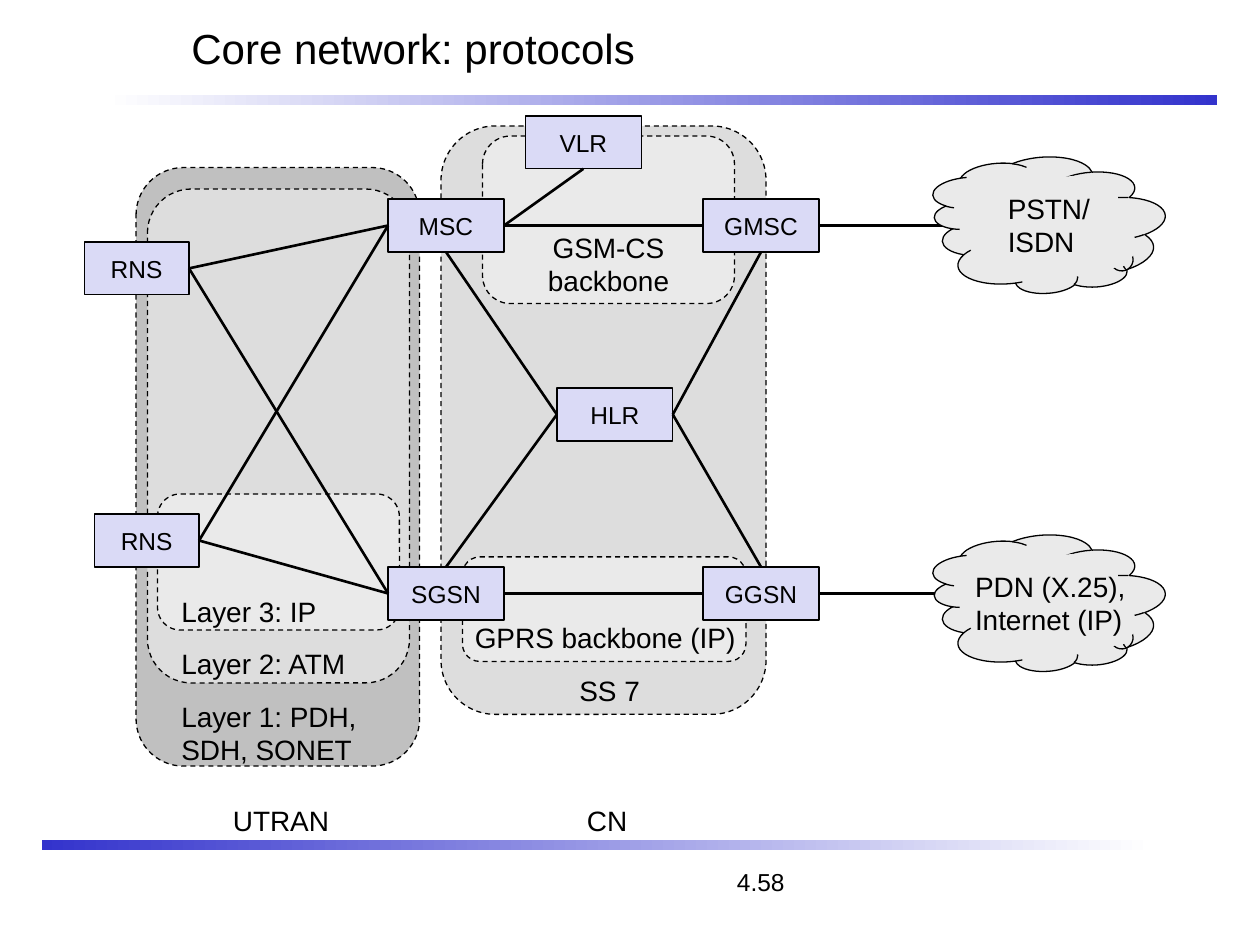
from dataclasses import dataclass

from lxml import etree
from pptx import Presentation
from pptx.dml.color import RGBColor
from pptx.enum.dml import MSO_LINE
from pptx.enum.shapes import MSO_CONNECTOR, MSO_SHAPE
from pptx.enum.text import MSO_ANCHOR, MSO_AUTO_SIZE, PP_ALIGN
from pptx.oxml.ns import qn
from pptx.util import Inches, Pt

BLACK = RGBColor(0x00, 0x00, 0x00)
WHITE = RGBColor(0xFF, 0xFF, 0xFF)
BLUE = RGBColor(0x33, 0x33, 0xCC)
LILAC = RGBColor(0xDA, 0xDA, 0xF6)
DARK = RGBColor(0xC0, 0xC0, 0xC0)
MID = RGBColor(0xDD, 0xDD, 0xDD)
PALE = RGBColor(0xEA, 0xEA, 0xEA)

RECT = MSO_SHAPE.RECTANGLE
ROUND = MSO_SHAPE.ROUNDED_RECTANGLE
OVAL = MSO_SHAPE.OVAL
CLOUD = MSO_SHAPE.CLOUD_CALLOUT
DASH = MSO_LINE.DASH
LINE = MSO_CONNECTOR.STRAIGHT
LEFT, CENTER = PP_ALIGN.LEFT, PP_ALIGN.CENTER
TOP, MIDDLE = MSO_ANCHOR.TOP, MSO_ANCHOR.MIDDLE
GROW = MSO_AUTO_SIZE.SHAPE_TO_FIT_TEXT
NORTH, WEST, SOUTH, EAST = range(4)


@dataclass
class Box:
    left: float
    top: float
    width: float
    height: float


@dataclass
class Panel:
    box: Box
    fill: RGBColor


@dataclass
class Node:
    key: str
    text: str
    left: float
    top: float
    width: float = 0.92


@dataclass
class Link:
    start: str
    out: int
    end: str
    into: int


@dataclass
class Label:
    text: str
    box: Box
    align: PP_ALIGN = LEFT
    wrap: bool = False


@dataclass
class Net:
    top: float
    tip: float
    source: str
    label: Label


PANELS = [
    Panel(Box(3.5, 1, 2.58, 4.67), MID),
    Panel(Box(1.08, 1.33, 2.25, 4.75), DARK),
    Panel(Box(1.17, 1.5, 2.08, 3.92), MID),
    Panel(Box(3.83, 1.08, 2, 1.33), PALE),
    Panel(Box(1.25, 3.92, 1.92, 1.08), PALE),
    Panel(Box(3.67, 4.42, 2.25, 0.83), PALE),
]
NODES = [
    Node("msc", "MSC", 3.08, 1.58),
    Node("low", "RNS", 0.75, 4.08, 0.83),
    Node("sgsn", "SGSN", 3.08, 4.5),
    Node("ggsn", "GGSN", 5.58, 4.5),
    Node("gmsc", "GMSC", 5.58, 1.58),
    Node("hlr", "HLR", 4.42, 3.08),
    Node("vlr", "VLR", 4.17, 0.92),
    Node("high", "RNS", 0.67, 1.92, 0.83),
]
LINKS = [
    Link("low", EAST, "sgsn", WEST),
    Link("low", EAST, "msc", WEST),
    Link("sgsn", EAST, "ggsn", WEST),
    Link("sgsn", NORTH, "hlr", WEST),
    Link("msc", SOUTH, "hlr", WEST),
    Link("ggsn", NORTH, "hlr", EAST),
    Link("gmsc", SOUTH, "hlr", EAST),
    Link("msc", EAST, "gmsc", WEST),
    Link("msc", EAST, "vlr", SOUTH),
    Link("msc", WEST, "high", EAST),
    Link("sgsn", WEST, "high", EAST),
]
LABELS = [
    Label("Layer 1: PDH,\vSDH, SONET", Box(1.34, 5.5, 1.65, 0.64)),
    Label("Layer 2: ATM", Box(1.34, 5.08, 1.58, 0.37)),
    Label("Layer 3: IP", Box(1.34, 4.67, 1.32, 0.37)),
    Label("GPRS backbone (IP)", Box(3.67, 4.88, 2.32, 0.37)),
    Label("SS 7", Box(4.5, 5.3, 0.73, 0.37)),
    Label("GSM-CS\nbackbone", Box(3.83, 1.78, 2, 0.64), CENTER, True),
    Label("UTRAN", Box(1.75, 6.33, 1.02, 0.37)),
    Label("CN", Box(4.56, 6.33, 0.57, 0.37)),
]
NETS = [
    Net(0.87, 7.58, "gmsc", Label("PSTN/\nISDN", Box(7.9, 1.47, 0.9, 0.64))),
    Net(3.87, 7.5, "ggsn", Label("PDN (X.25),\nInternet (IP)", Box(7.64, 4.47, 1.46, 0.64))),
]


def place(box: Box) -> list:
    return [Inches(n) for n in (box.left, box.top, box.width, box.height)]


def style(frame, size: int, align: PP_ALIGN = LEFT, anchor: MSO_ANCHOR = TOP) -> None:
    frame.vertical_anchor = anchor
    for par in frame.paragraphs:
        par.alignment = align
        par.font.name = "Arial"
        par.font.size = Pt(size)
        par.font.color.rgb = BLACK


def draw(shapes, kind: MSO_SHAPE, box: Box, fill: RGBColor, edge: RGBColor = BLACK, turn: float = 0):
    shape = shapes.add_shape(kind, *place(box))
    shape.shadow.inherit = False
    shape.fill.solid()
    shape.fill.fore_color.rgb = fill
    shape.line.color.rgb = edge
    shape.line.width = Pt(0.75)
    shape.rotation = turn
    return shape


def add_bar(shapes, box: Box, first: RGBColor, last: RGBColor) -> None:
    bar = shapes.add_shape(RECT, *place(box))
    bar.shadow.inherit = False
    bar.line.fill.background()
    bar.fill.gradient()
    bar.fill.gradient_angle = 0
    for stop, color in zip(bar.fill.gradient_stops, (first, last)):
        stop.color.rgb = color


def add_label(shapes, label: Label, size: int = 16) -> None:
    frame = shapes.add_textbox(*place(label.box)).text_frame
    frame.text = label.text
    frame.word_wrap = label.wrap
    frame.auto_size = GROW
    style(frame, size, label.align)


def add_panel(shapes, panel: Panel) -> None:
    shape = draw(shapes, ROUND, panel.box, panel.fill)
    shape.adjustments[0] = 0.167
    shape.line.dash_style = DASH


def add_node(shapes, node: Node):
    shape = draw(shapes, RECT, Box(node.left, node.top, node.width, 0.42), LILAC)
    shape.text_frame.text = node.text
    shape.text_frame.word_wrap = False
    style(shape.text_frame, 14, CENTER, MIDDLE)
    return shape


def add_line(shapes, start, out: int, x: int = 0, y: int = 0):
    line = shapes.add_connector(LINE, x, y, x, y)
    line.begin_connect(start, out)
    line.line.color.rgb = BLACK
    line.line.width = Pt(1.5)
    etree.SubElement(line._element.spPr, qn("a:effectLst"))
    return line


def add_net(shapes, net: Net) -> None:
    group = shapes.add_group_shape().shapes
    cloud = draw(group, CLOUD, Box(7.79, net.top, 1.08, 1.83), PALE, turn=266.1)
    cloud.adjustments[0], cloud.adjustments[1] = -0.151, 0.157
    draw(group, OVAL, Box(8.56, net.top + 0.83, 0.29, 0.61), PALE, PALE, 262.1)
    draw(group, RECT, Box(8.41, net.top + 0.35, 0.13, 0.5), PALE, PALE, 264.7)
    add_label(group, net.label)


def add_number(shapes) -> None:
    frame = shapes.add_textbox(*place(Box(0.33, 6.83, 8.75, 0.33))).text_frame
    frame.word_wrap = True
    par = frame.paragraphs[0]
    par.text = "\t4.58"
    tabs = etree.SubElement(par._p.get_or_add_pPr(), qn("a:tabLst"))
    etree.SubElement(tabs, qn("a:tab"), pos=str(Inches(5.42)), algn="l")
    style(frame, 14)


def main() -> None:
    """Build the core network protocol slide."""
    deck = Presentation()
    deck.slide_width, deck.slide_height = Inches(10), Inches(7.5)
    shapes = deck.slides.add_slide(deck.slide_layouts[6]).shapes
    add_bar(shapes, Box(0.83, 0.75, 8.83, 0.08), WHITE, BLUE)
    add_bar(shapes, Box(0.33, 6.67, 8.83, 0.08), BLUE, WHITE)
    add_number(shapes)
    title = shapes.add_textbox(*place(Box(1.42, 0, 8.42, 0.75))).text_frame
    title.text = "Core network: protocols"
    title.word_wrap = True
    style(title, 24, anchor=MIDDLE)
    for panel in PANELS:
        add_panel(shapes, panel)
    nodes = {node.key: add_node(shapes, node) for node in NODES}
    for link in LINKS:
        line = add_line(shapes, nodes[link.start], link.out)
        line.end_connect(nodes[link.end], link.into)
    for net in NETS:
        node = nodes[net.source]
        add_line(shapes, node, EAST, Inches(net.tip), node.top + node.height // 2)
        add_net(shapes, net)
    for label in LABELS:
        add_label(shapes, label)
    deck.save("out.pptx")


if __name__ == "__main__":
    main()
